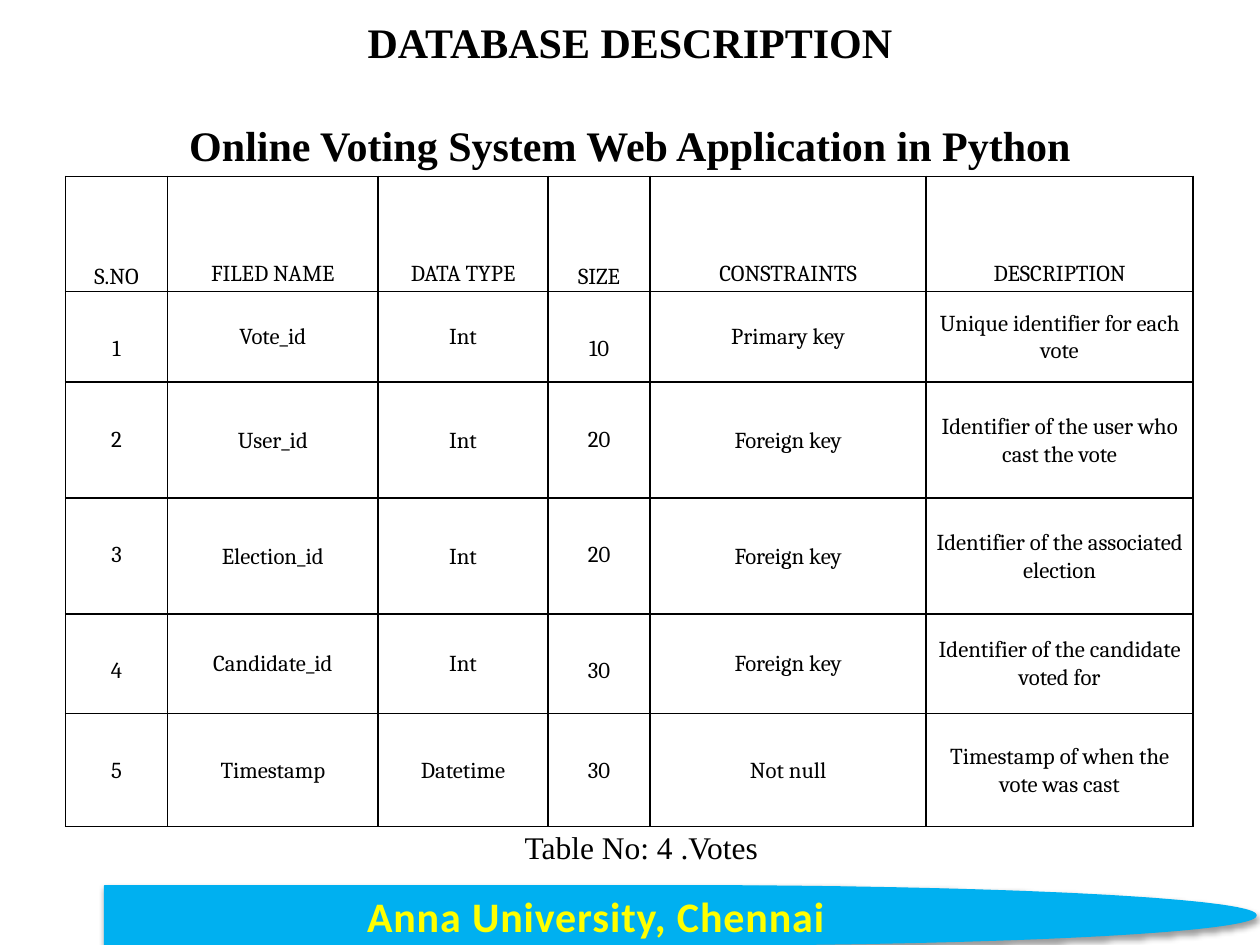
from dataclasses import dataclass

from lxml import etree
from pptx import Presentation
from pptx import util as u
from pptx.dml.color import RGBColor
from pptx.enum import shapes, text
from pptx.oxml import ns


@dataclass(frozen=True)
class Theme:
    ink: str = "000000"
    paper: str = "FFFFFF"
    ribbon: str = "00B0F0"
    ribbon_text: str = "FFFF00"
    ribbon_outline: str = "E78738"
    heading_size: float = 24
    caption_size: float = 18
    cell_size: float = 13
    serif: str = "Times New Roman"
    table_font: str = "Cambria"
    sans: str = "Calibri"


THEME = Theme()

COLUMN_WIDTHS = [0.81, 1.67, 1.35, 0.81, 2.19, 2.12]
ROW_HEIGHTS = [0.91, 0.72, 0.92, 0.92, 0.79, 0.9]
NUMBER_COLUMNS = (0, 3)
LINE_STEP = 0.34  # one line of cell text with the gap after it

FIELDS = [
    ["S.NO", "FILED NAME", "DATA TYPE", "SIZE", "CONSTRAINTS", "DESCRIPTION"],
    ["1", "Vote_id", "Int", "10", "Primary key", "Unique identifier for each vote"],
    ["2", "User_id", "Int", "20", "Foreign key", "Identifier of the user who cast the vote"],
    ["3", "Election_id", "Int", "20", "Foreign key", "Identifier of the associated election"],
    ["4", "Candidate_id", "Int", "30", "Foreign key", "Identifier of the candidate voted for"],
    ["5", "Timestamp", "Datetime", "30", "Not null", "Timestamp of when the vote was cast"],
]


def inches(box):
    return [u.Inches(value) for value in box]


def set_attributes(target, values):
    for name, value in values.items():
        setattr(target, name, value)


def add_element(parent, tag, **attributes):
    return etree.SubElement(parent, ns.qn(tag), attributes)


def add_solid_fill(parent, color):
    return add_element(add_element(parent, "a:solidFill"), "a:srgbClr", val=color)


def write_paragraph(paragraph, content, font, size, color, bold=False, **spacing):
    """Write one centred run and return it."""
    set_attributes(paragraph, {"alignment": text.PP_ALIGN.CENTER, **spacing})
    run = paragraph.add_run()
    run.text = content
    set_attributes(run.font, {"name": font, "size": u.Pt(size), "bold": bold})
    run.font.color.rgb = RGBColor.from_string(color)
    return run


def add_text_frame(slide, box):
    frame = slide.shapes.add_textbox(*inches(box)).text_frame
    frame.word_wrap = True
    return frame


def add_heading(slide, box, title, subtitle):
    frame = add_text_frame(slide, box)
    style = (THEME.serif, THEME.heading_size, THEME.ink, True)
    write_paragraph(frame.paragraphs[0], title, *style)
    write_paragraph(frame.add_paragraph(), subtitle, *style, space_before=u.Pt(30))


def add_caption(slide, box, content):
    frame = add_text_frame(slide, box)
    write_paragraph(frame.paragraphs[0], content, THEME.serif, THEME.caption_size, THEME.ink)


def add_ribbon(slide, box, content):
    ribbon = slide.shapes.add_shape(shapes.MSO_SHAPE.FLOWCHART_DELAY, *inches(box))
    ribbon.shadow.inherit = False
    ribbon.fill.solid()
    ribbon.fill.fore_color.rgb = RGBColor.from_string(THEME.ribbon)
    ribbon.line.color.rgb = RGBColor.from_string(THEME.ribbon)
    ribbon.line.width = u.Pt(0.75)

    effects = ribbon._element.spPr.find(ns.qn("a:effectLst"))
    shadow = add_element(effects, "a:outerShdw", blurRad=str(u.Pt(3.1)),
                         dist=str(u.Pt(1.6)), dir="5400000", rotWithShape="0")
    add_element(add_solid_color(shadow), "a:alpha", val="38000")

    frame = ribbon.text_frame
    set_attributes(frame, {"word_wrap": True, "vertical_anchor": text.MSO_ANCHOR.MIDDLE})
    run = write_paragraph(frame.paragraphs[0], content, THEME.sans,
                          THEME.heading_size, THEME.ribbon_text, True)
    properties = run.font._element
    properties.set("spc", "50")
    outline = etree.Element(ns.qn("a:ln"), w=str(u.Pt(1)))
    add_solid_fill(outline, THEME.ribbon_outline)
    properties.insert(0, outline)


def add_solid_color(parent):
    return add_element(parent, "a:srgbClr", val=THEME.ink)


def draw_borders(cell):
    """Put the four border lines ahead of the fill, as the schema asks."""
    properties = cell._tc.get_or_add_tcPr()
    for index, tag in enumerate(("a:lnL", "a:lnR", "a:lnT", "a:lnB")):
        border = etree.Element(ns.qn(tag), w=str(u.Pt(1)))
        add_solid_fill(border, THEME.ink)
        properties.insert(index, border)


def cell_layout(row, column):
    """Number columns hang from the top; the others sit at the middle or bottom."""
    is_header = row == 0
    if column in NUMBER_COLUMNS:
        anchor = text.MSO_ANCHOR.TOP
        top, bottom, side = LINE_STEP * (2 if is_header else 1), 0, 0
    else:
        anchor = text.MSO_ANCHOR.BOTTOM if is_header else text.MSO_ANCHOR.MIDDLE
        top, bottom, side = 0.03, 0.03, 0.05
    return {
        "vertical_anchor": anchor,
        "margin_top": u.Inches(top),
        "margin_bottom": u.Inches(bottom),
        "margin_left": u.Inches(side),
        "margin_right": u.Inches(side),
    }


def add_field_table(slide, box, rows):
    frame = slide.shapes.add_table(len(rows), len(rows[0]), *inches(box))
    table = frame.table
    set_attributes(table, {"first_row": False, "horz_banding": False})
    for column, width in zip(table.columns, COLUMN_WIDTHS):
        column.width = u.Inches(width)
    for row, height in zip(table.rows, ROW_HEIGHTS):
        row.height = u.Inches(height)
    for row_index, values in enumerate(rows):
        for column_index, value in enumerate(values):
            cell = table.cell(row_index, column_index)
            set_attributes(cell, cell_layout(row_index, column_index))
            cell.fill.solid()
            cell.fill.fore_color.rgb = RGBColor.from_string(THEME.paper)
            draw_borders(cell)
            write_paragraph(cell.text_frame.paragraphs[0], value, THEME.table_font,
                            THEME.cell_size, THEME.ink, line_spacing=1.07)


def main():
    presentation = Presentation()
    set_attributes(presentation, {"slide_width": u.Inches(10), "slide_height": u.Inches(7.5)})
    slide = presentation.slides.add_slide(presentation.slide_layouts[6])
    add_heading(slide, (0.71, 0.08, 8.58, 1.31), "DATABASE DESCRIPTION",
                "Online Voting System Web Application in Python")
    add_ribbon(slide, (0.83, 7.03, 9.14, 0.47), "Anna University, Chennai")
    add_caption(slide, (2.58, 6.52, 5.02, 0.4), "Table No: 4 .Votes")
    add_field_table(slide, (0.52, 1.4, sum(COLUMN_WIDTHS), sum(ROW_HEIGHTS)), FIELDS)
    presentation.save("out.pptx")


if __name__ == "__main__":
    main()
